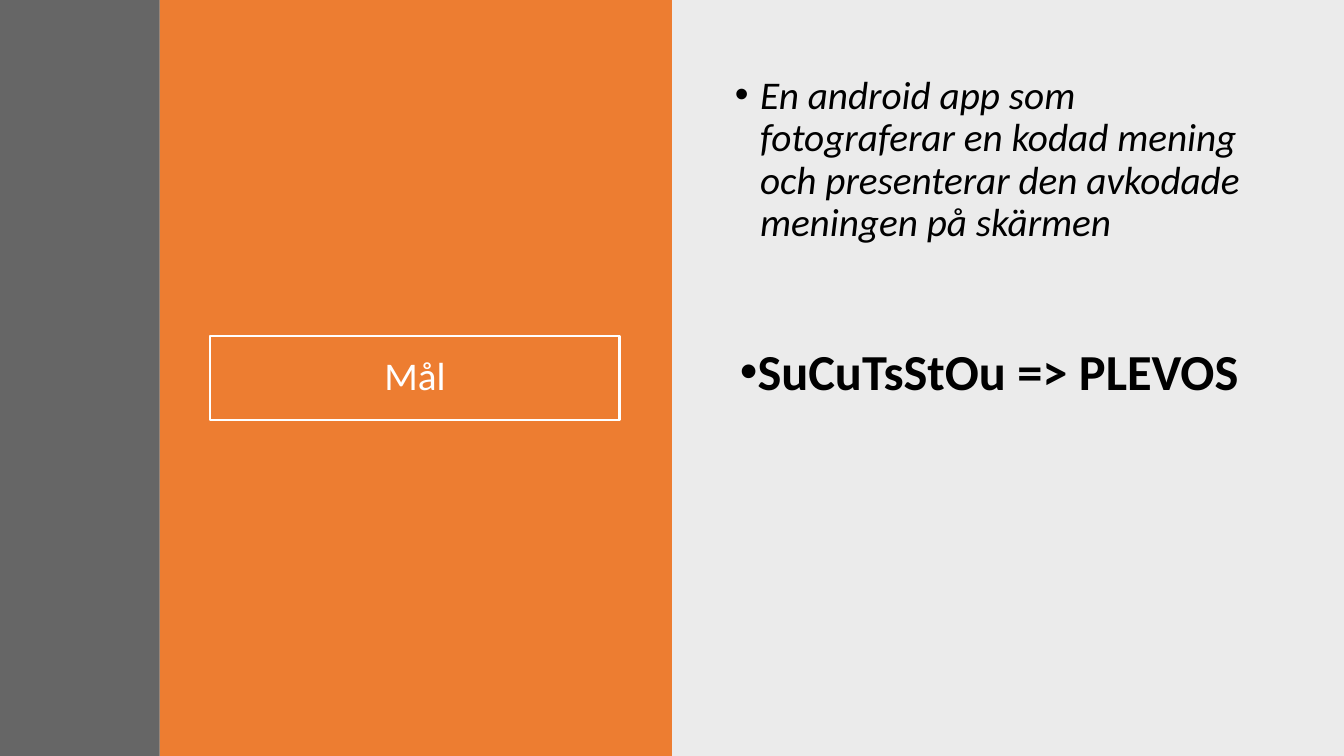
from dataclasses import dataclass

from lxml import etree
from pptx import Presentation, util as u
from pptx.dml.color import RGBColor
from pptx.enum import shapes, text
from pptx.oxml import ns

COLUMNS, ROWS = 160, 90


@dataclass(frozen=True)
class Theme:
    font: str = "Calibri"
    black: str = "000000"
    white: str = "FFFFFF"
    orange: str = "ED7D31"
    gray: str = "404040"
    body: int = 28
    example: int = 36
    outline: int = 2
    leading: float = 0.9
    indent: float = 0.25


class Deck:
    def __init__(self, theme):
        self.theme = theme
        self.prs = Presentation()
        self.prs.slide_width = u.Inches(13.33)
        self.prs.slide_height = u.Inches(7.5)
        self.s = self.prs.slides.add_slide(self.prs.slide_layouts[6])

    def area(self, left, top, width, height):
        column = self.prs.slide_width / COLUMNS
        row = self.prs.slide_height / ROWS
        return [int(v) for v in (left * column, top * row, width * column, height * row)]

    def rectangle(self, *area):
        sp = self.s.shapes.add_shape(shapes.MSO_SHAPE.RECTANGLE, *self.area(*area))
        sp.shadow.inherit = False
        return sp

    def panel(self, left, right, color, opacity=100):
        sp = self.rectangle(left, 0, right - left, ROWS)
        sp.fill.solid()
        sp.fill.fore_color.rgb = RGBColor.from_string(color)
        sp.line.fill.background()
        if opacity < 100:
            srgb = sp._element.spPr.find(".//" + ns.qn("a:srgbClr"))
            etree.SubElement(srgb, ns.qn("a:alpha"), val=str(opacity * 1000))

    def paragraph(self, sp, words, size, color):
        tf = sp.text_frame
        tf.word_wrap = True
        p = tf.paragraphs[0]
        p.text = words
        p.line_spacing = self.theme.leading
        p.font.name = self.theme.font
        p.font.size = u.Pt(size)
        p.font.color.rgb = RGBColor.from_string(color)
        return p

    def title(self, words, *area):
        sp = self.rectangle(*area)
        sp.fill.background()
        sp.line.color.rgb = RGBColor.from_string(self.theme.white)
        sp.line.width = u.Pt(self.theme.outline)
        sp.text_frame.vertical_anchor = text.MSO_ANCHOR.MIDDLE
        p = self.paragraph(sp, words, self.theme.body, self.theme.white)
        p.alignment = text.PP_ALIGN.CENTER

    def bullet(self, words, size, margin, *area):
        sp = self.s.shapes.add_textbox(*self.area(*area))
        p = self.paragraph(sp, words, size, self.theme.black)
        pPr = p._p.get_or_add_pPr()
        pPr.set("marL", str(u.Inches(margin)))
        pPr.set("indent", str(-u.Inches(self.theme.indent)))
        font = etree.Element(ns.qn("a:buFont"), typeface="Arial")
        mark = etree.Element(ns.qn("a:buChar"), char="•")
        pPr.find(ns.qn("a:defRPr")).addprevious(font)
        font.addnext(mark)
        return p


def main():
    theme = Theme()
    deck = Deck(theme)
    deck.panel(80, COLUMNS, theme.black, opacity=8)
    deck.panel(19, 80, theme.orange)
    deck.title("Mål", 25, 40, 48.8, 10)
    deck.panel(0, 19, theme.gray, opacity=80)

    goal = deck.bullet(
        "En android app som fotograferar en kodad mening "
        "och presenterar den avkodade meningen på skärmen",
        theme.body, theme.indent, 86.3, 8.4, 66.4, 26.5)
    goal.font.italic = True
    goal.space_before = u.Pt(10)

    example = deck.bullet("SuCuTsStOu => PLEVOS", theme.example, 0,
                          86.9, 40.7, 66.4, 15.5)
    example.font.bold = True
    example.space_after = u.Pt(6)

    deck.prs.save("out.pptx")


if __name__ == "__main__":
    main()
